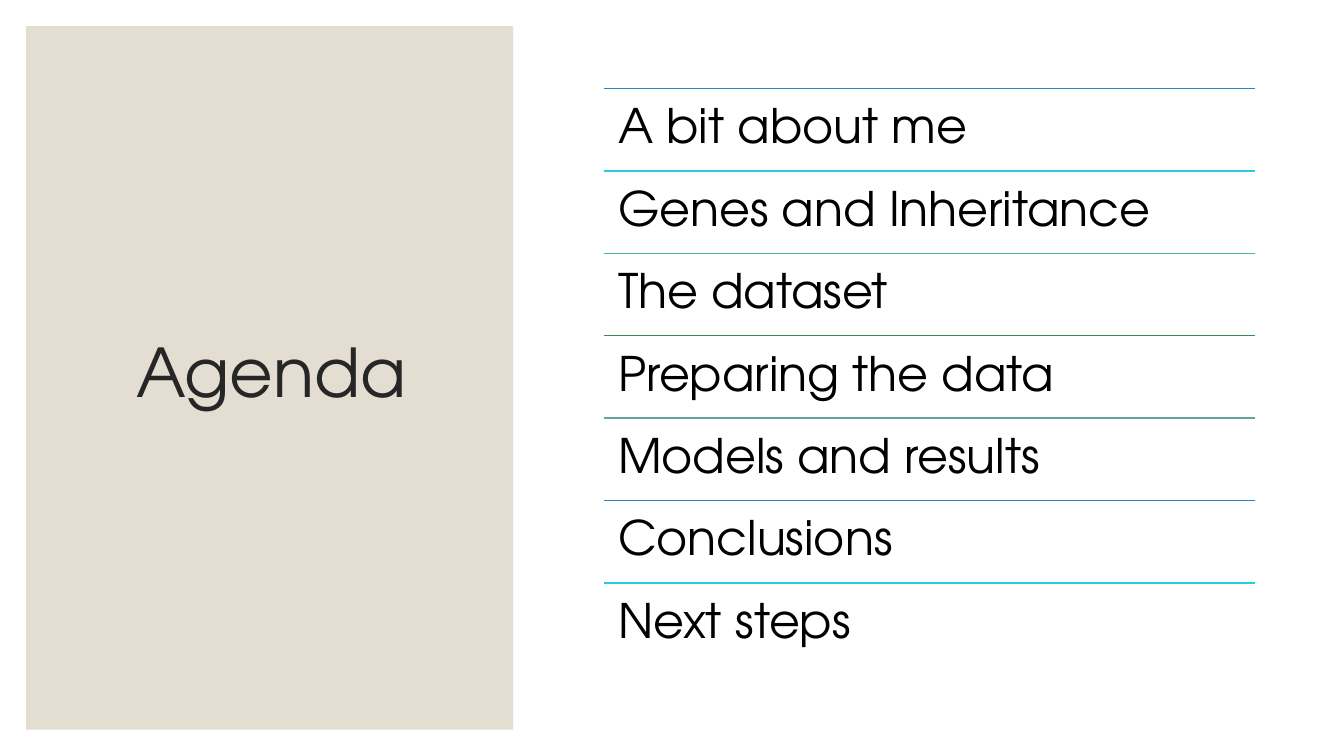
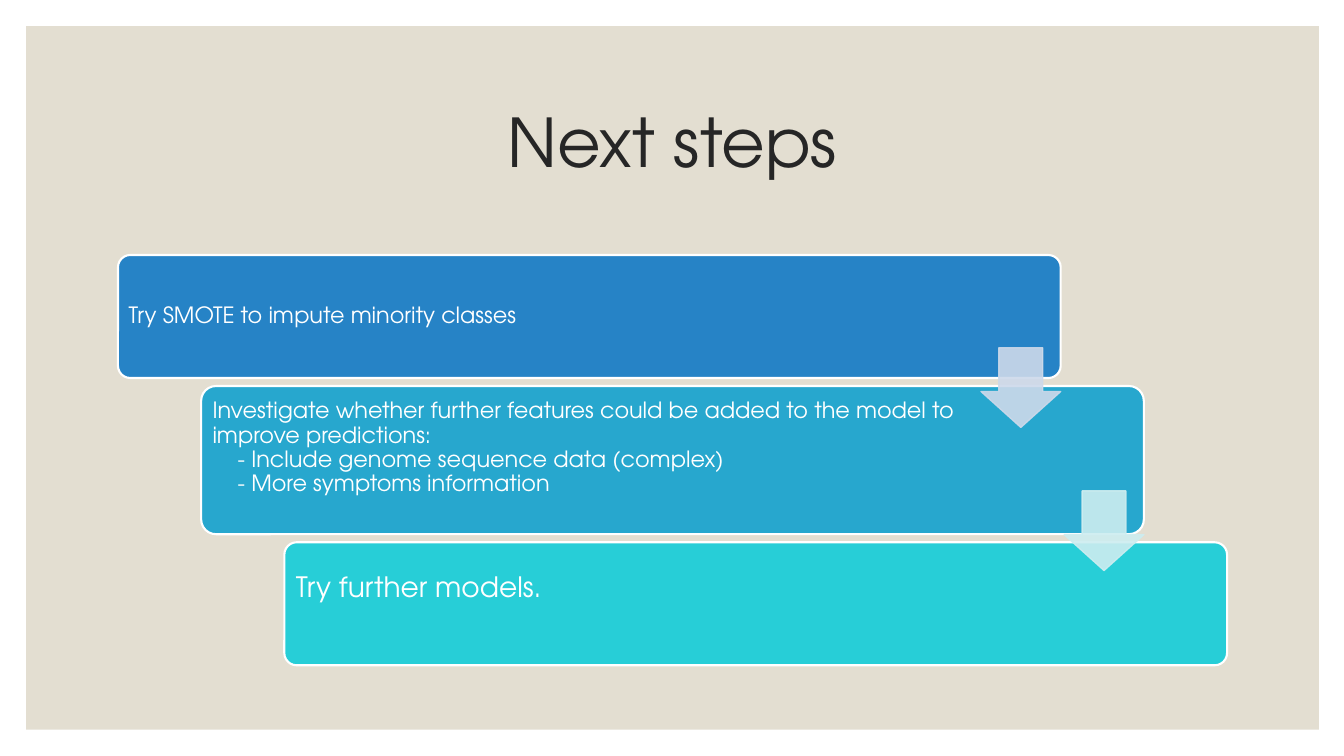
from dataclasses import dataclass

from lxml.etree import SubElement as Sub
from pptx import Presentation
from pptx.dml.color import RGBColor as RGB
from pptx.enum.shapes import MSO_CONNECTOR as Link, MSO_SHAPE as Form
from pptx.enum.text import MSO_ANCHOR as Anchor, PP_ALIGN as Align
from pptx.oxml.ns import qn
from pptx.util import Inches, Pt


@dataclass(frozen=True)
class Theme:
    font: str = "TeX Gyre Adventor"
    sand: str = "E3DED1"
    ink: str = "262626"
    black: str = "000000"
    white: str = "FFFFFF"
    rules: tuple = ("2683C6", "27CED7", "42BA97", "3E8853", "62A39F")
    steps: tuple = ("2683C6", "27A7CE", "27CED7")
    arrows: tuple = ("CDD9EA", "CDEDF0")
    title: int = 48
    item: int = 34
    body: int = 16
    large: int = 20


T = Theme()
TOPICS = ("A bit about me", "Genes and Inheritance", "The dataset",
          "Preparing the data", "Models and results", "Conclusions",
          "Next steps")
# Each step: lines as (text, indent), type size, height, side and bottom inset
STEPS = (
    ((("Try SMOTE to impute minority classes", 0),), T.body, 1.22, 0.07, 0.07),
    ((("Investigate whether further features could be added to the model "
       "to improve predictions:", 0),
      ("- Include genome sequence data (complex)", 0.25),
      ("- More symptoms information", 0.25)), T.body, 1.47, 0.07, 0.31),
    ((("Try further models.", 0),), T.large, 1.22, 0.08, 0.38),
)
RISES = (0.3, 0.43)  # arrow start above the lower edge of its step


def apply(part, form):
    for name, value in form.items():
        setattr(part, name, value)


def paint(fill, tone, alpha=None):
    fill.solid()
    fill.fore_color.rgb = RGB.from_string(tone)
    if alpha is not None:
        node = fill._xPr.find(qn("a:solidFill"))[0]
        Sub(node, qn("a:alpha")).set("val", str(alpha * 1000))


def shape(slide, kind, box, tone, edge=None, width=1, alpha=None, adjust=()):
    part = slide.shapes.add_shape(kind, *map(Inches, box))
    part.shadow.inherit = False
    paint(part.fill, tone, alpha)
    if edge:
        paint(part.line.fill, edge, alpha)
        part.line.width = Pt(width)
    else:
        part.line.fill.background()
    for i, value in enumerate(adjust):
        part.adjustments[i] = value
    return part


def write(part, lines, size, tone, insets, align=Align.LEFT,
          anchor=Anchor.MIDDLE):
    frame = part.text_frame
    sides = ("margin_left", "margin_top", "margin_right", "margin_bottom")
    apply(frame, {"word_wrap": True, "vertical_anchor": anchor,
                  **dict(zip(sides, map(Inches, insets)))})
    for i, (text, indent) in enumerate(lines):
        para = frame.add_paragraph() if i else frame.paragraphs[0]
        apply(para, {"alignment": align, "line_spacing": 0.9})
        if indent:
            para._p.get_or_add_pPr().set("marL", str(Inches(indent)))
        run = para.add_run()
        run.text = text
        apply(run.font, {"name": T.font, "size": Pt(size)})
        run.font.color.rgb = RGB.from_string(tone)


def label(slide, box, text, size, tone, inset, **form):
    part = slide.shapes.add_textbox(*map(Inches, box))
    write(part, [(text, 0)], size, tone, (inset,) * 4, **form)


def panel(slide, box, head, text):
    """Sand panel with a centred title."""
    shape(slide, Form.RECTANGLE, box, T.sand)
    label(slide, head, text, T.title, T.ink, 0.1, align=Align.CENTER)


def rule(slide, x, y, width, tone):
    line = slide.shapes.add_connector(
        Link.STRAIGHT, *map(Inches, (x, y, x + width, y)))
    paint(line.line.fill, tone)
    line.line.width = Pt(1)
    Sub(line._element.spPr, qn("a:effectLst"))


def topics(slide, box):
    """Ruled list that shares the height of the box evenly."""
    x, y, width, height = box
    row = height / len(TOPICS)
    for i, text in enumerate(TOPICS):
        top = y + i * row
        rule(slide, x, top, width, T.rules[i % len(T.rules)])
        label(slide, (x, top, width, row), text, T.item, T.black, 0.14,
              anchor=Anchor.TOP)


def stairs(slide, box, wide=9.35, gap=0.08, size=0.79):
    """Steps that shift to the right, joined by arrows."""
    x, y, width, _ = box
    shift = (width - wide) / (len(STEPS) - 1)
    ends = []
    for i, (lines, points, tall, inset, base) in enumerate(STEPS):
        left = x + i * shift
        part = shape(slide, Form.ROUNDED_RECTANGLE, (left, y, wide, tall),
                     T.steps[i], T.white, 1.5, adjust=(0.1,))
        write(part, lines, points, T.white, (inset, inset, 1.7, base))
        ends.append((left + wide, y + tall))
        y += tall + gap
    # Arrows lie over the steps
    for (right, foot), rise, tone in zip(ends, RISES, T.arrows):
        shape(slide, Form.DOWN_ARROW, (right - size, foot - rise, size, size),
              tone, tone, alpha=90, adjust=(0.55, 0.45))


def agenda(slide):
    panel(slide, (0.26, 0.26, 4.83, 6.98), (0.63, 0.61, 4.12, 6.24), "Agenda")
    topics(slide, (5.99, 0.88, 6.46, 5.72))


def plans(slide):
    panel(slide, (0.26, 0.26, 12.82, 6.98), (1.17, 0.7, 11, 1.5), "Next steps")
    stairs(slide, (1.17, 2.53, 11, 4.07))


def main():
    deck = Presentation()
    apply(deck, {"slide_width": Inches(13.33), "slide_height": Inches(7.5)})
    for build in (agenda, plans):
        build(deck.slides.add_slide(deck.slide_layouts[6]))
    deck.save("out.pptx")


if __name__ == "__main__":
    main()
